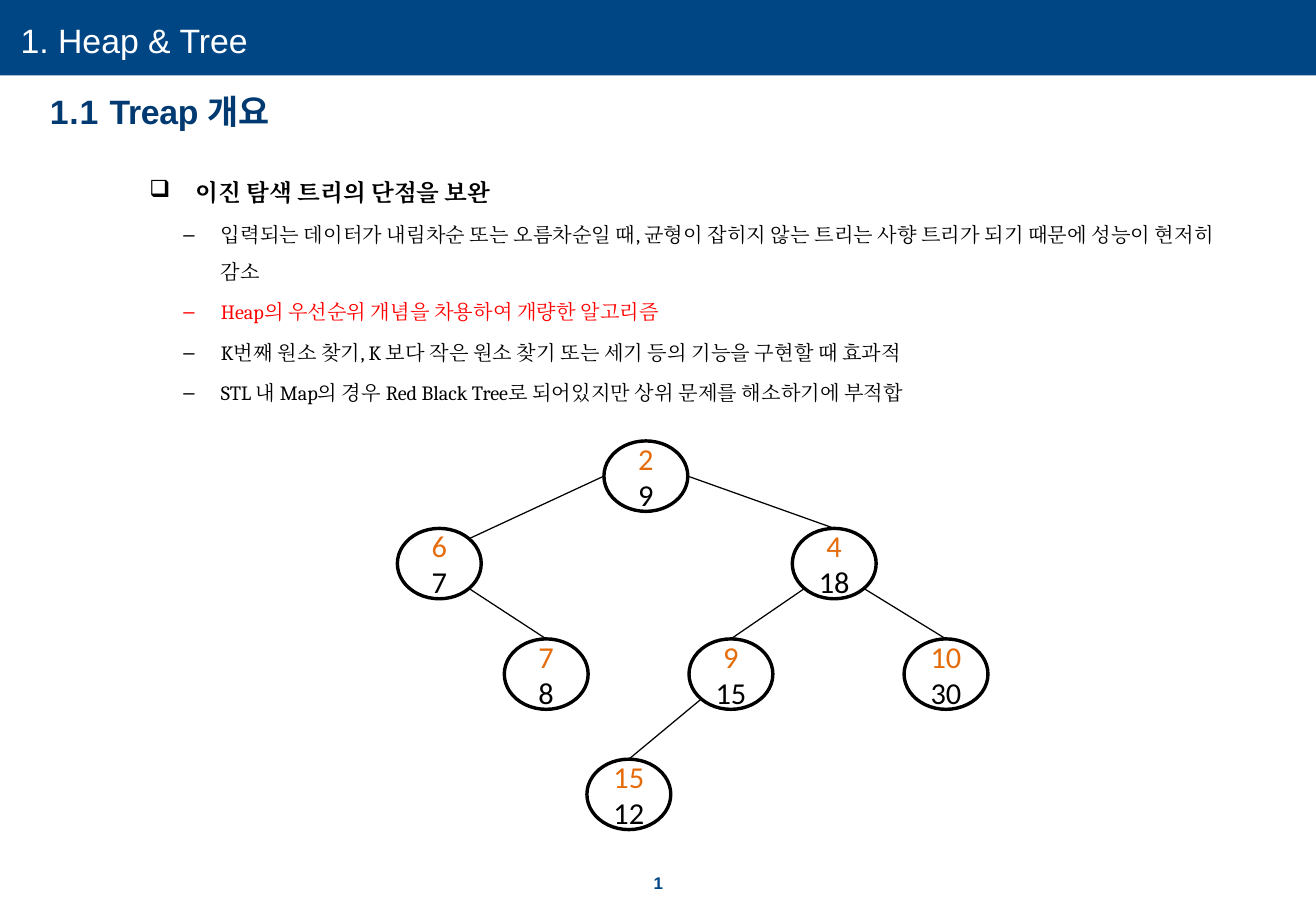
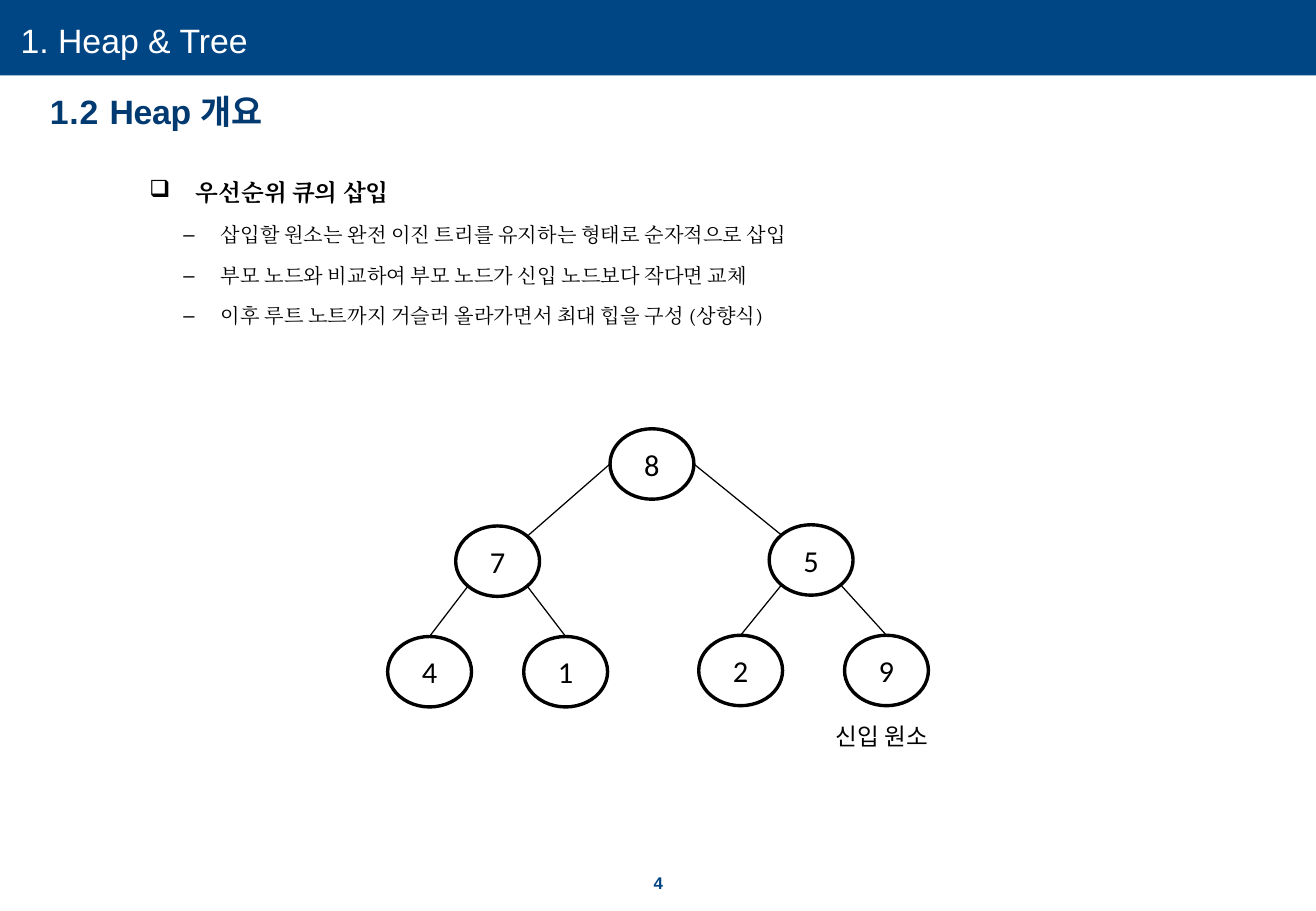
from dataclasses import dataclass
from lxml import etree
from pptx import Presentation
from pptx.dml.color import RGBColor
from pptx.enum.shapes import MSO_CONNECTOR, MSO_SHAPE
from pptx.enum.text import MSO_ANCHOR, MSO_AUTO_SIZE, PP_ALIGN
from pptx.oxml.ns import qn
from pptx.util import Inches, Pt

OVAL, RECT = MSO_SHAPE.OVAL, MSO_SHAPE.RECTANGLE
LINE = MSO_CONNECTOR.STRAIGHT
LEFT, CENTER = PP_ALIGN.LEFT, PP_ALIGN.CENTER
TOP, MIDDLE = MSO_ANCHOR.TOP, MSO_ANCHOR.MIDDLE
GROW = MSO_AUTO_SIZE.SHAPE_TO_FIT_TEXT

COLORS = {"band": "004685", "title": "003A70", "white": "FFFFFF",
          "ink": "000000", "rank": "E46C0A", "alert": "FF0000"}
WIDE, HIGH = 10.83, 7.5
NODE_W, NODE_H = 0.69, 0.58
SECTION = "1. Heap & Tree"

# Points on an oval, as shares of its width and height
NEAR, FAR = 0.15, 0.85
SITES = {"n": (0.5, 0), "w": (0, 0.5), "e": (1, 0.5), "nw": (NEAR, NEAR),
         "ne": (FAR, NEAR), "sw": (NEAR, FAR), "se": (FAR, FAR)}


@dataclass
class Node:
    key: str
    left: float
    top: float
    rank: str = ""


@dataclass
class Edge:
    start: str
    leave: str
    end: str
    reach: str = "n"


@dataclass
class Point:
    text: str
    color: str = "ink"


@dataclass
class Bullet:
    mark: str
    face: str
    left: float
    hang: float


@dataclass
class Page:
    number: str
    code: str
    topic: str
    head: str
    points: list[Point]
    nodes: list[Node]
    edges: list[Edge]


BOX = Bullet("q", "Wingdings", 0.38, 0.38)  # Wingdings draws q as a box
DASH = Bullet("–", "Arial", 0.59, 0.31)

PAGES = [
    Page("1", "1.1 ", "Treap 개요", "이진 탐색 트리의 단점을 보완",
         [Point("입력되는 데이터가 내림차순 또는 오름차순일 때, 균형이 잡히지 않는 "
                "트리는 사향 트리가 되기 때문에 성능이 현저히 감소"),
          Point("Heap의 우선순위 개념을 차용하여 개량한 알고리즘", "alert"),
          Point("K번째 원소 찾기, K 보다 작은 원소 찾기 또는 세기 등의 기능을 "
                "구현할 때 효과적"),
          Point("STL 내 Map의 경우 Red Black Tree로 되어있지만 상위 문제를 "
                "해소하기에 부적합")],
         [Node("9", 4.97, 3.63, "2"), Node("7", 3.27, 4.35, "6"),
          Node("18", 6.52, 4.35, "4"), Node("8", 4.15, 5.26, "7"),
          Node("15", 5.67, 5.26, "9"), Node("30", 7.44, 5.26, "10"),
          Node("12", 4.83, 6.25, "15")],
         [Edge("9", "w", "7", "ne"), Edge("9", "e", "18"),
          Edge("7", "se", "8"), Edge("18", "sw", "15"),
          Edge("18", "se", "30"), Edge("15", "sw", "12")]),
    Page("4", "1.2 ", "Heap 개요", "우선순위 큐의 삽입",
         [Point("삽입할 원소는 완전 이진 트리를 유지하는 형태로 순자적으로 삽입"),
          Point("부모 노드와 비교하여 부모 노드가 신입 노드보다 작다면 교체"),
          Point("이후 루트 노트까지 거슬러 올라가면서 최대 힙을 구성 (상향식)")],
         [Node("8", 5.02, 3.53), Node("7", 3.75, 4.33),
          Node("5", 6.33, 4.32), Node("4", 3.19, 5.24),
          Node("1", 4.31, 5.24), Node("2", 5.75, 5.23),
          Node("9", 6.95, 5.23)],
         [Edge("8", "w", "7", "ne"), Edge("8", "e", "5", "nw"),
          Edge("7", "sw", "4"), Edge("7", "se", "1"),
          Edge("5", "sw", "2"), Edge("5", "se", "9")]),
]


def paint(color: str) -> RGBColor:
    return RGBColor.from_string(COLORS[color])


def style(run, face: str, size: float, color: str, bold: bool = False,
          gap: float = 0) -> None:
    font = run.font
    font.name, font.size, font.bold = face, Pt(size), bold
    font.color.rgb = paint(color)
    if gap:
        run._r.get_or_add_rPr().set("spc", str(round(gap * 100)))


def style_point(run, size: float, color: str, bold: bool = False) -> None:
    """Use Cambria for Korean text and its spaces as well."""
    style(run, "Cambria", size, color, bold)
    asian = etree.SubElement(run._r.get_or_add_rPr(), qn("a:ea"))
    asian.set("typeface", "Cambria")


def place(shape, left: float, top: float, width: float, height: float) -> None:
    shape.left, shape.top = Inches(left), Inches(top)
    shape.width, shape.height = Inches(width), Inches(height)


def tighten(frame) -> None:
    frame.margin_left = frame.margin_right = 0
    frame.margin_top = frame.margin_bottom = 0
    frame.word_wrap, frame.auto_size = True, GROW
    frame.vertical_anchor = TOP


def add_label(slide, text: str, left: float, top: float, width: float,
              height: float):
    box = slide.shapes.add_textbox(0, 0, 0, 0)
    place(box, left, top, width, height)
    box.text_frame.text = text
    return box.text_frame


def add_band(slide, layout) -> None:
    """Draw the top band and hand it to the layout, which all slides share."""
    band = slide.shapes.add_shape(RECT, 0, 0, Inches(WIDE), Inches(0.62))
    band.shadow.inherit = False
    band.fill.solid()
    band.fill.fore_color.rgb = paint("band")
    band.line.fill.background()
    layout.shapes.element.insert(2, band.element)


def add_frame(slide, page: Page) -> None:
    # Page number
    frame = add_label(slide, page.number, 5.31, 7.2, 0.22, 0.15)
    tighten(frame)
    frame.margin_left = Inches(0.07)
    para = frame.paragraphs[0]
    para.line_spacing = Pt(10.9)
    style(para.runs[0], "Arial", 10, "band", True, 0.5)

    # Section name on the band
    frame = add_label(slide, SECTION, 0.16, 0.16, 2.86, 0.34)
    tighten(frame)
    frame.margin_left = Inches(0.01)
    style(frame.paragraphs[0].runs[0], "Arial", 20, "white")

    # Slide title
    title = slide.shapes.title
    place(title, 0.4, 0.75, 6.61, 0.34)
    frame = title.text_frame
    tighten(frame)
    frame.margin_left = Inches(0.01)
    para = frame.paragraphs[0]
    para.alignment = LEFT
    for text, gap in ((page.code, 0.5), (page.topic, -0.2)):
        run = para.add_run()
        run.text = text
        style(run, "Arial", 20, "title", True, gap)


def set_bullet(para, bullet: Bullet) -> None:
    para.line_spacing = 1.5
    props = para._p.get_or_add_pPr()
    props.set("marL", str(Inches(bullet.left)))
    props.set("indent", str(-Inches(bullet.hang)))
    before = etree.SubElement(props, qn("a:spcBef"))
    etree.SubElement(before, qn("a:spcPct")).set("val", "20000")
    etree.SubElement(props, qn("a:buFont")).set("typeface", bullet.face)
    etree.SubElement(props, qn("a:buChar")).set("char", bullet.mark)


def add_points(slide, page: Page) -> None:
    frame = add_label(slide, page.head, 1.13, 1.3, 9.12, 2.02)
    frame.word_wrap, frame.margin_right = True, Inches(0.25)
    para = frame.paragraphs[0]
    set_bullet(para, BOX)
    style_point(para.runs[0], 14, "ink", True)
    for point in page.points:
        para = frame.add_paragraph()
        para.text, para.level = point.text, 1
        set_bullet(para, DASH)
        style_point(para.runs[0], 12, point.color)


def add_node(slide, node: Node) -> None:
    oval = slide.shapes.add_shape(OVAL, 0, 0, 0, 0)
    place(oval, node.left, node.top, NODE_W, NODE_H)
    oval.shadow.inherit = False
    oval.fill.background()
    oval.line.color.rgb, oval.line.width = paint("ink"), Pt(2)
    frame = oval.text_frame
    frame.vertical_anchor = MIDDLE
    frame.text = f"{node.rank}\n{node.key}" if node.rank else node.key
    for para in frame.paragraphs:
        para.alignment = CENTER
        style(para.runs[0], "Calibri", 18, "ink")
    if node.rank:
        frame.paragraphs[0].runs[0].font.color.rgb = paint("rank")


def find_site(node: Node, site: str) -> tuple[int, int]:
    across, down = SITES[site]
    return (Inches(node.left + across * NODE_W),
            Inches(node.top + down * NODE_H))


def add_tree(slide, page: Page) -> None:
    nodes = {node.key: node for node in page.nodes}
    for node in page.nodes:
        add_node(slide, node)
    for edge in page.edges:
        line = slide.shapes.add_connector(
            LINE, *find_site(nodes[edge.start], edge.leave),
            *find_site(nodes[edge.end], edge.reach))
        line.line.color.rgb, line.line.width = paint("ink"), Pt(0.75)
        etree.SubElement(line.element.spPr, qn("a:effectLst"))


deck = Presentation()
deck.slide_width, deck.slide_height = Inches(WIDE), Inches(HIGH)
layout = deck.slide_layouts.get_by_name("Title Only")
slides = [deck.slides.add_slide(layout) for _ in PAGES]
add_band(slides[0], layout)

for slide, page in zip(slides, PAGES):
    add_frame(slide, page)
    add_points(slide, page)
    add_tree(slide, page)

# Caption under the new element of the heap
frame = add_label(slides[1], "신입 원소", 6.78, 5.89, 1.03, 0.34)
frame.word_wrap, frame.auto_size = False, GROW
style(frame.paragraphs[0].runs[0], "Calibri", 14, "ink")

deck.save("out.pptx")
